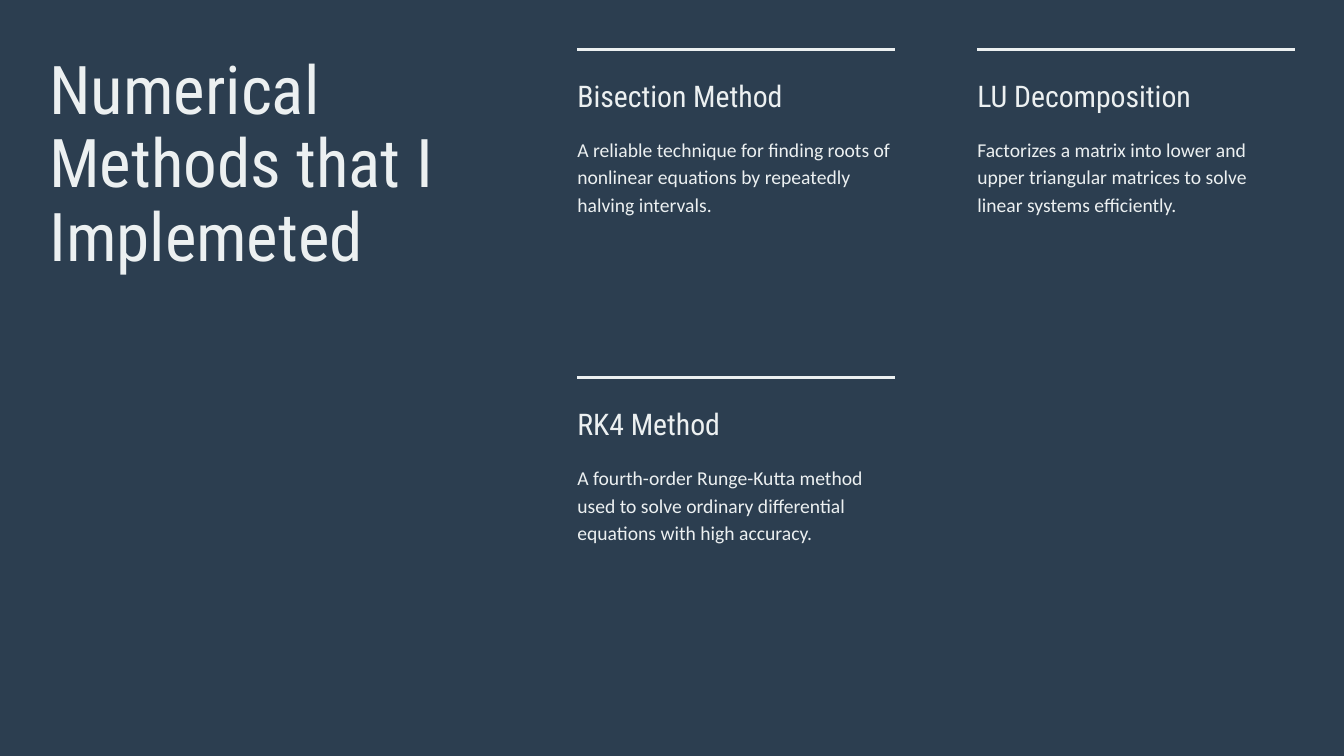
from dataclasses import dataclass

import pptx
import pptx.dml.color
import pptx.enum.shapes
import pptx.enum.text
import pptx.oxml.ns
import pptx.shapes.shapetree
import pptx.slide
import pptx.text.text
import pptx.util
from lxml import etree
from pptx.util import Cm

NAVY = pptx.dml.color.RGBColor(0x2C, 0x3E, 0x50)
CLOUD = pptx.dml.color.RGBColor(0xEC, 0xF0, 0xF1)

# Grid of method cards
GRID_LEFT, GRID_TOP = 14.55, 1.24
COLUMN_STEP, ROW_STEP = 10.08, 8.28
CARD_WIDTH = 8.0


@dataclass(frozen=True)
class TextStyle:
    font: str
    size: float
    line_spacing: float


@dataclass(frozen=True)
class Method:
    name: str
    description: str
    column: int
    row: int


TITLE_STYLE = TextStyle("Roboto Condensed", 48, 52.8)
NAME_STYLE = TextStyle("Roboto Condensed", 21.3, 22.4)
DESCRIPTION_STYLE = TextStyle("Calibri", 14, 19.6)

METHODS = [
    Method("Bisection Method",
           "A reliable technique for finding roots of nonlinear equations "
           "by repeatedly halving intervals.", 0, 0),
    Method("LU Decomposition",
           "Factorizes a matrix into lower and upper triangular matrices "
           "to solve linear systems efficiently.", 1, 0),
    Method("RK4 Method",
           "A fourth-order Runge-Kutta method used to solve ordinary "
           "differential equations with high accuracy.", 0, 1),
]


def write_text(frame: pptx.text.text.TextFrame, text: str, style: TextStyle) -> None:
    frame.word_wrap = True
    frame.auto_size = pptx.enum.text.MSO_AUTO_SIZE.SHAPE_TO_FIT_TEXT
    frame.vertical_anchor = pptx.enum.text.MSO_ANCHOR.TOP
    frame.margin_left = frame.margin_right = 0
    frame.margin_top = frame.margin_bottom = 0
    paragraph = frame.paragraphs[0]
    paragraph.text = text
    paragraph.alignment = pptx.enum.text.PP_ALIGN.LEFT
    paragraph.line_spacing = pptx.util.Pt(style.line_spacing)
    paragraph.space_before = pptx.util.Pt(0)
    paragraph.font.name = style.font
    paragraph.font.size = pptx.util.Pt(style.size)
    paragraph.font.color.rgb = CLOUD


def add_rule(shapes: pptx.shapes.shapetree.GroupShapes, left: float, top: float) -> None:
    rule = shapes.add_connector(
        pptx.enum.shapes.MSO_CONNECTOR.STRAIGHT,
        Cm(left), Cm(top), Cm(left + CARD_WIDTH), Cm(top))
    rule.line.color.rgb = CLOUD
    rule.line.width = pptx.util.Pt(2)
    properties = rule._element.find(pptx.oxml.ns.qn("p:spPr"))
    etree.SubElement(properties, pptx.oxml.ns.qn("a:effectLst"))


def add_method(slide: pptx.slide.Slide, method: Method) -> None:
    left = GRID_LEFT + method.column * COLUMN_STEP
    top = GRID_TOP + method.row * ROW_STEP
    shapes = slide.shapes.add_group_shape().shapes
    add_rule(shapes, left, top)
    for text, style, offset, height in (
        (method.description, DESCRIPTION_STYLE, 2.13, 2.08),
        (method.name, NAME_STYLE, 0.82, 0.79),
    ):
        box = shapes.add_textbox(Cm(left), Cm(top + offset), Cm(CARD_WIDTH), Cm(height))
        write_text(box.text_frame, text, style)


def main() -> None:
    presentation = pptx.Presentation()
    presentation.slide_width, presentation.slide_height = Cm(33.87), Cm(19.05)
    slide = presentation.slides.add_slide(presentation.slide_layouts[5])
    slide.background.fill.solid()
    slide.background.fill.fore_color.rgb = NAVY

    # Title
    title = slide.shapes.title
    title.left, title.top = Cm(1.24), Cm(1.35)
    title.width, title.height = Cm(10.64), Cm(5.66)
    write_text(title.text_frame, "Numerical Methods that I Implemeted", TITLE_STYLE)

    # Method cards
    for method in METHODS:
        add_method(slide, method)

    presentation.save("out.pptx")


if __name__ == "__main__":
    main()
